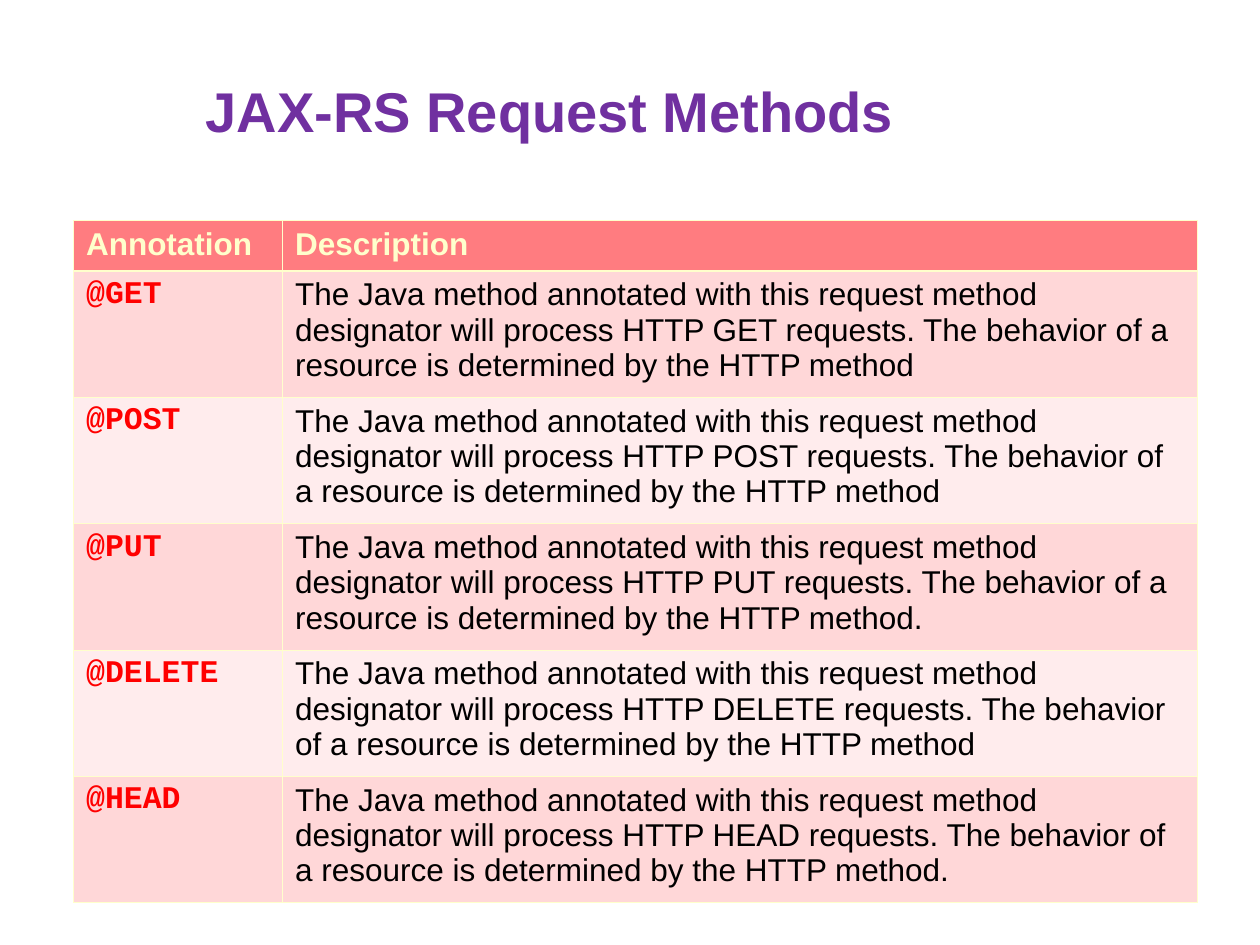
from dataclasses import dataclass

import pptx
import pptx.dml.color
import pptx.enum.text
import pptx.util
from lxml import etree

Pt = pptx.util.Pt
DRAWING = "http://schemas.openxmlformats.org/drawingml/2006/main"


@dataclass(frozen=True)
class Theme:
    title: str = "7030A0"
    header_fill: str = "FF7C80"
    header_text: str = "FFFFCC"
    border: str = "FFFFCC"
    bands: tuple = ("FFD7D8", "FFECED")
    annotation: str = "FF0000"
    body: str = "000000"
    sans: str = "Arial"
    mono: str = "Courier New"
    title_size: float = 32
    table_size: float = 18
    thin_border: float = 0.45
    thick_border: float = 1.47


THEME = Theme()
TITLE_BOX = (41.7, 18, 545, 90)
TABLE_BOX = (42, 126, 642.5, 389.8)
ANNOTATION_WIDTH = 119.5
HEADER_HEIGHT = 28.8
# Each request method with the punctuation that closes its description
METHODS = [("GET", ""), ("POST", ""), ("PUT", "."), ("DELETE", ""), ("HEAD", ".")]


def color(value):
    return pptx.dml.color.RGBColor.from_string(value)


def set_font(paragraph, name, size, text_color, bold):
    font = paragraph.font
    font.name, font.size, font.bold = name, Pt(size), bold
    font.color.rgb = color(text_color)


def add_title(slide, box, text):
    shape = slide.shapes.add_textbox(*map(Pt, box))
    frame = shape.text_frame
    frame.word_wrap = True
    frame.vertical_anchor = pptx.enum.text.MSO_ANCHOR.MIDDLE
    paragraph = frame.paragraphs[0]
    paragraph.text = text
    paragraph.alignment = pptx.enum.text.PP_ALIGN.CENTER
    set_font(paragraph, THEME.sans, THEME.title_size, THEME.title, True)


def set_borders(cell, top, bottom):
    """Draw all four borders; the side ones are always thin."""
    properties = cell._tc.get_or_add_tcPr()
    widths = {"lnL": THEME.thin_border, "lnR": THEME.thin_border, "lnT": top, "lnB": bottom}
    for side, width in widths.items():
        line = etree.SubElement(properties, f"{{{DRAWING}}}{side}", w=str(int(Pt(width))))
        fill = etree.SubElement(line, f"{{{DRAWING}}}solidFill")
        etree.SubElement(fill, f"{{{DRAWING}}}srgbClr", val=THEME.border)


def fill_cell(cell, text, fill, font_name, text_color, bold):
    cell.fill.solid()
    cell.fill.fore_color.rgb = color(fill)
    paragraph = cell.text_frame.paragraphs[0]
    paragraph.text = text
    set_font(paragraph, font_name, THEME.table_size, text_color, bold)


def add_methods_table(slide, box, methods):
    left, top, width, height = box
    table = slide.shapes.add_table(
        len(methods) + 1, 2, Pt(left), Pt(top), Pt(width), Pt(height)).table
    table.columns[0].width = Pt(ANNOTATION_WIDTH)
    table.columns[1].width = Pt(width - ANNOTATION_WIDTH)

    for index, row in enumerate(table.rows):
        row.height = Pt((height - HEADER_HEIGHT) / len(methods) if index else HEADER_HEIGHT)
        for cell in row.cells:
            set_borders(cell,
                        top=THEME.thick_border if index == 1 else THEME.thin_border,
                        bottom=THEME.thick_border if index == 0 else THEME.thin_border)

    for column, heading in enumerate(("Annotation", "Description")):
        fill_cell(table.cell(0, column), heading, THEME.header_fill,
                  THEME.sans, THEME.header_text, True)

    for index, (method, ending) in enumerate(methods):
        band = THEME.bands[index % 2]
        description = ("The Java method annotated with this request method designator "
                       f"will process HTTP {method} requests. The behavior of a resource "
                       f"is determined by the HTTP method{ending}")
        fill_cell(table.cell(index + 1, 0), f"@{method}", band,
                  THEME.mono, THEME.annotation, True)
        fill_cell(table.cell(index + 1, 1), description, band,
                  THEME.sans, THEME.body, False)


def main():
    presentation = pptx.Presentation()
    presentation.slide_width, presentation.slide_height = Pt(720), Pt(540)
    slide = presentation.slides.add_slide(presentation.slide_layouts[6])
    add_title(slide, TITLE_BOX, "JAX-RS Request Methods")
    add_methods_table(slide, TABLE_BOX, METHODS)
    presentation.save("out.pptx")


if __name__ == "__main__":
    main()
